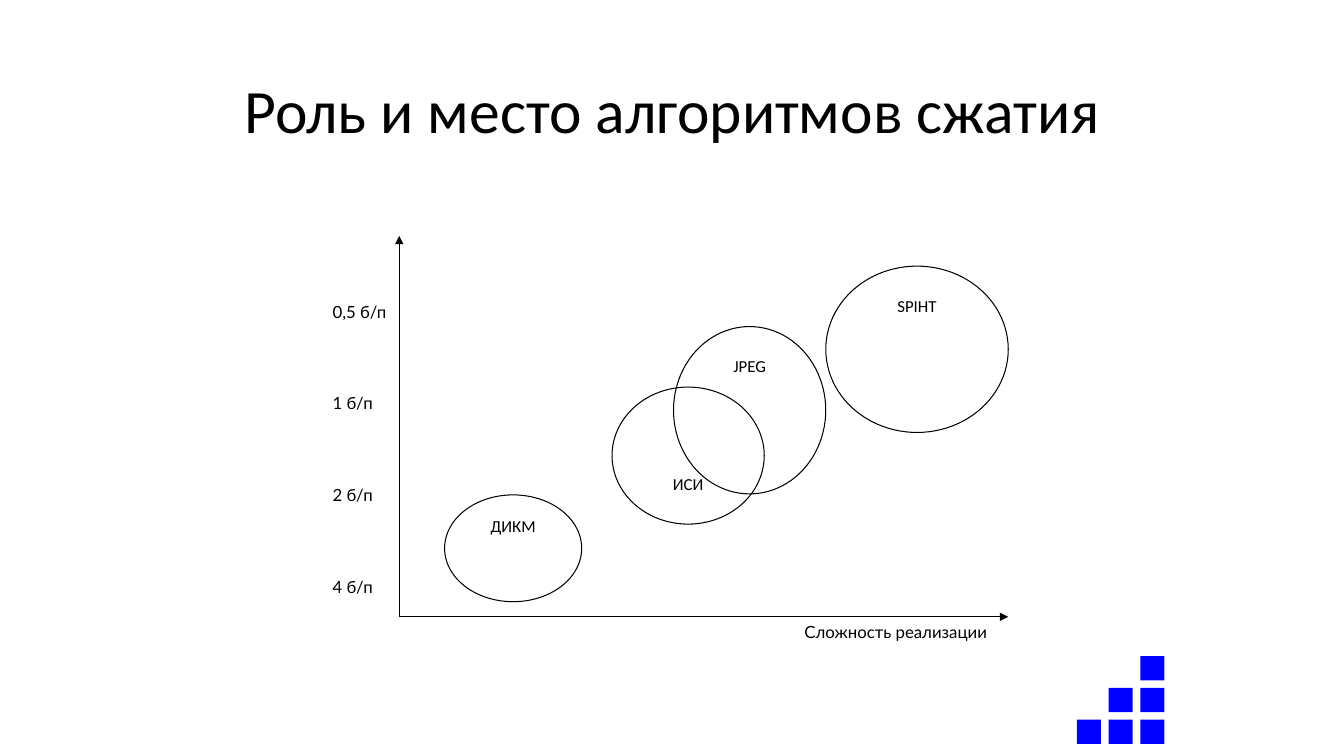
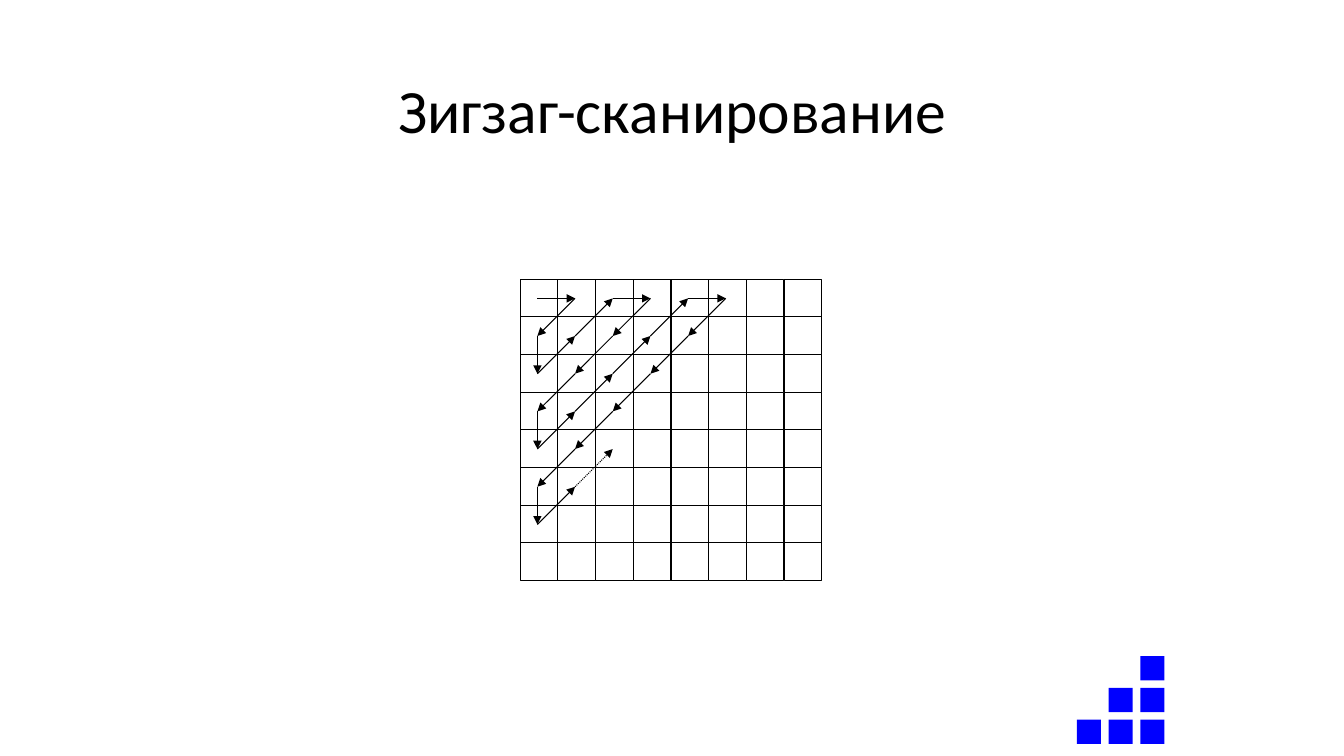
"""Build two slides on image compression: the place of the algorithms and the zigzag scan."""
from lxml import etree
from pptx import Presentation
from pptx.dml.color import RGBColor
from pptx.enum.dml import MSO_LINE
from pptx.enum.shapes import MSO_CONNECTOR, MSO_SHAPE
from pptx.enum.text import MSO_ANCHOR, PP_ALIGN
from pptx.oxml.ns import qn
from pptx.util import Inches, Pt

BLACK = RGBColor(0x00, 0x00, 0x00)
WHITE = RGBColor(0xFF, 0xFF, 0xFF)
BLUE = RGBColor(0x00, 0x00, 0xFF)
RECTANGLE, ELLIPSE = MSO_SHAPE.RECTANGLE, MSO_SHAPE.OVAL
STRAIGHT = MSO_CONNECTOR.STRAIGHT
DOTTED = MSO_LINE.ROUND_DOT
CENTER = PP_ALIGN.CENTER
TOP, MIDDLE = MSO_ANCHOR.TOP, MSO_ANCHOR.MIDDLE
THIN = Pt(0.75)
TITLES = ["Роль и место алгоритмов сжатия", "Зигзаг-сканирование"]


def add_figure(slide, kind, left, top, width, height, fill=None, outline=None):
    figure = slide.shapes.add_shape(
        kind, Inches(left), Inches(top), Inches(width), Inches(height))
    figure.shadow.inherit = False
    if fill is None:
        figure.fill.background()
    else:
        figure.fill.solid()
        figure.fill.fore_color.rgb = fill
    if outline is None:
        figure.line.fill.background()
    else:
        figure.line.color.rgb = outline
        figure.line.width = THIN
    return figure


def add_arrow(slide, start, end, dash=None):
    arrow = slide.shapes.add_connector(
        STRAIGHT, *[Inches(value) for value in (*start, *end)])
    arrow.line.color.rgb = BLACK
    arrow.line.width = THIN
    if dash is not None:
        arrow.line.dash_style = dash
    properties = arrow._element.spPr
    etree.SubElement(properties.find(qn("a:ln")), qn("a:tailEnd"), type="triangle")
    etree.SubElement(properties, qn("a:effectLst"))


prs = Presentation()
prs.slide_width, prs.slide_height = Inches(13.33), Inches(7.5)

slides = []
for heading in TITLES:
    slide = prs.slides.add_slide(prs.slide_layouts[5])
    title = slide.shapes.title
    title.left, title.top = Inches(0.92), Inches(0.4)
    title.width, title.height = Inches(11.5), Inches(1.45)
    title.text_frame.text = heading
    title.text_frame.vertical_anchor = MIDDLE
    paragraph = title.text_frame.paragraphs[0]
    paragraph.alignment = CENTER
    paragraph.line_spacing = 0.9
    paragraph.font.size, paragraph.font.name = Pt(44), "Calibri"
    paragraph.font.color.rgb = BLACK
    square_step = 0.63 / 2
    for row in range(3):
        for column in range(2 - row, 3):
            add_figure(slide, RECTANGLE, 10.68 + column * square_step,
                       6.51 + row * square_step, 0.24, 0.24, fill=BLUE)
    slides.append(slide)

roles, zigzag = slides

origin = (3.96, 6.12)
for axis_end in [(3.96, 2.34), (10, 6.12)]:
    add_arrow(roles, origin, axis_end)

axis_labels = [("Сложность реализации", 7.88, 6.12, 2.72)]
for index, rate in enumerate(["0,5 б/п", "1 б/п", "2 б/п", "4 б/п"]):
    axis_labels.append((rate, 3.2, 2.94 + index * 0.91, 0.91))
for text, left, top, width in axis_labels:
    label = roles.shapes.add_textbox(Inches(left), Inches(top), Inches(width), Inches(0.45))
    label.text_frame.word_wrap = True
    label.text_frame.text = text
    font = label.text_frame.paragraphs[0].font
    font.size, font.name, font.color.rgb = Pt(12), "Lato", BLACK

ALGORITHMS = [
    ("ДИКМ", 4.41, 4.91, 1.36, 1.06, WHITE, 0.05),
    ("ИСИ", 6.07, 3.84, 1.51, 1.36, WHITE, 0.66),
    ("JPEG", 6.68, 3.24, 1.51, 1.66, None, 0.05),
    ("SPIHT", 8.19, 2.64, 1.81, 1.65, WHITE, 0.05),
]
for name, left, top, width, height, fill, text_inset in ALGORITHMS:
    algorithm = add_figure(roles, ELLIPSE, left, top, width, height, fill, BLACK)
    frame = algorithm.text_frame
    frame.text = name
    frame.vertical_anchor = TOP
    frame.margin_top = Inches(text_inset)
    paragraph = frame.paragraphs[0]
    paragraph.alignment = CENTER
    paragraph.font.size, paragraph.font.name = Pt(12), "Calibri"
    paragraph.font.color.rgb = BLACK

cells_per_side = 8
cell = 2.99 / cells_per_side
for row in range(cells_per_side):
    for column in range(cells_per_side):
        add_figure(zigzag, RECTANGLE, 5.16 + column * cell, 2.77 + row * cell,
                   cell, cell, WHITE, BLACK)

scan = []
for diagonal in range(7):
    rows = range(diagonal + 1) if diagonal % 2 else range(diagonal, -1, -1)
    for row in rows:
        scan.append((5.33 + (diagonal - row) * cell, 2.96 + row * cell))
scan = scan[:24]
for start, end in zip(scan, scan[1:]):
    add_arrow(zigzag, start, end, DOTTED if end == scan[-1] else None)

prs.save("out.pptx")
